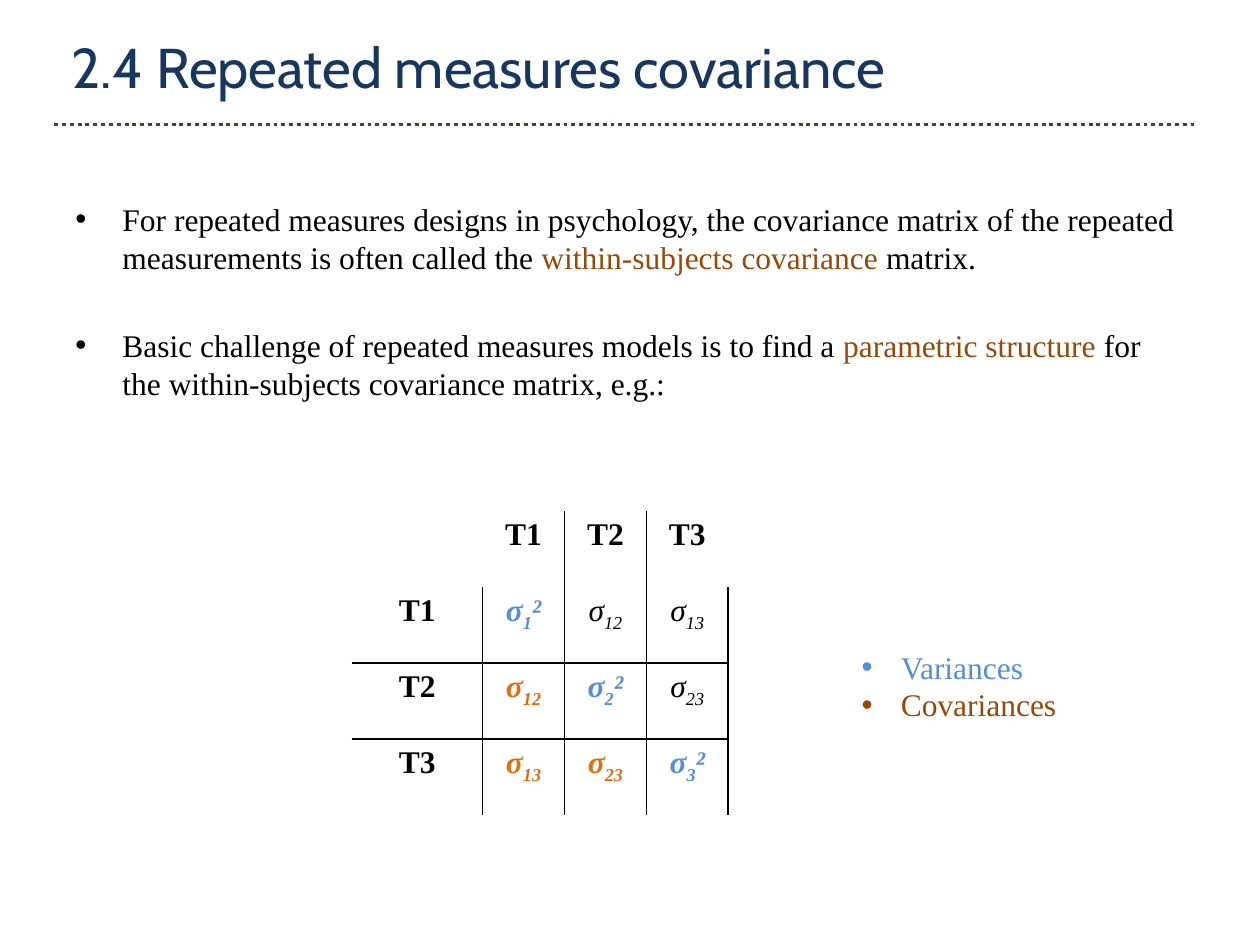
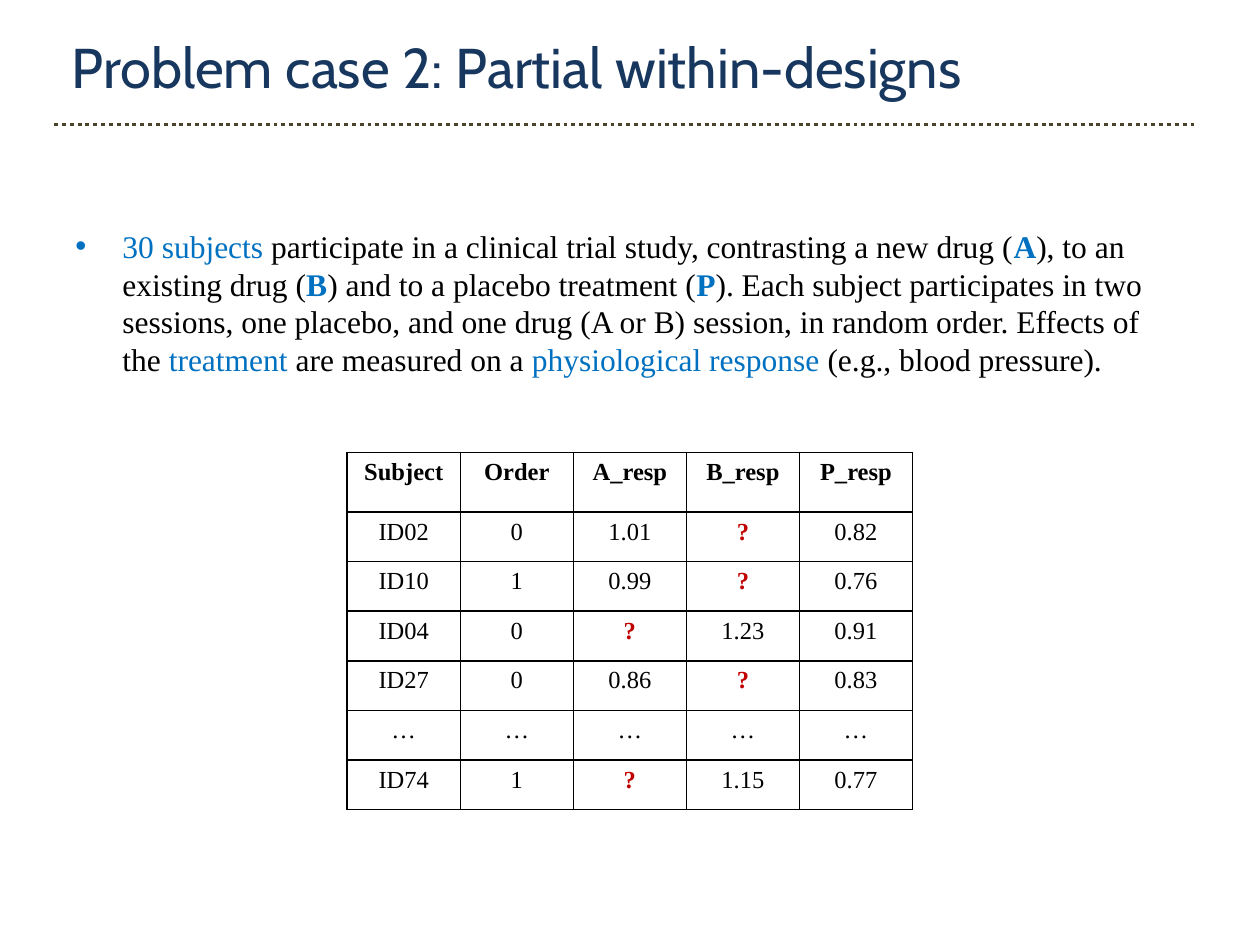
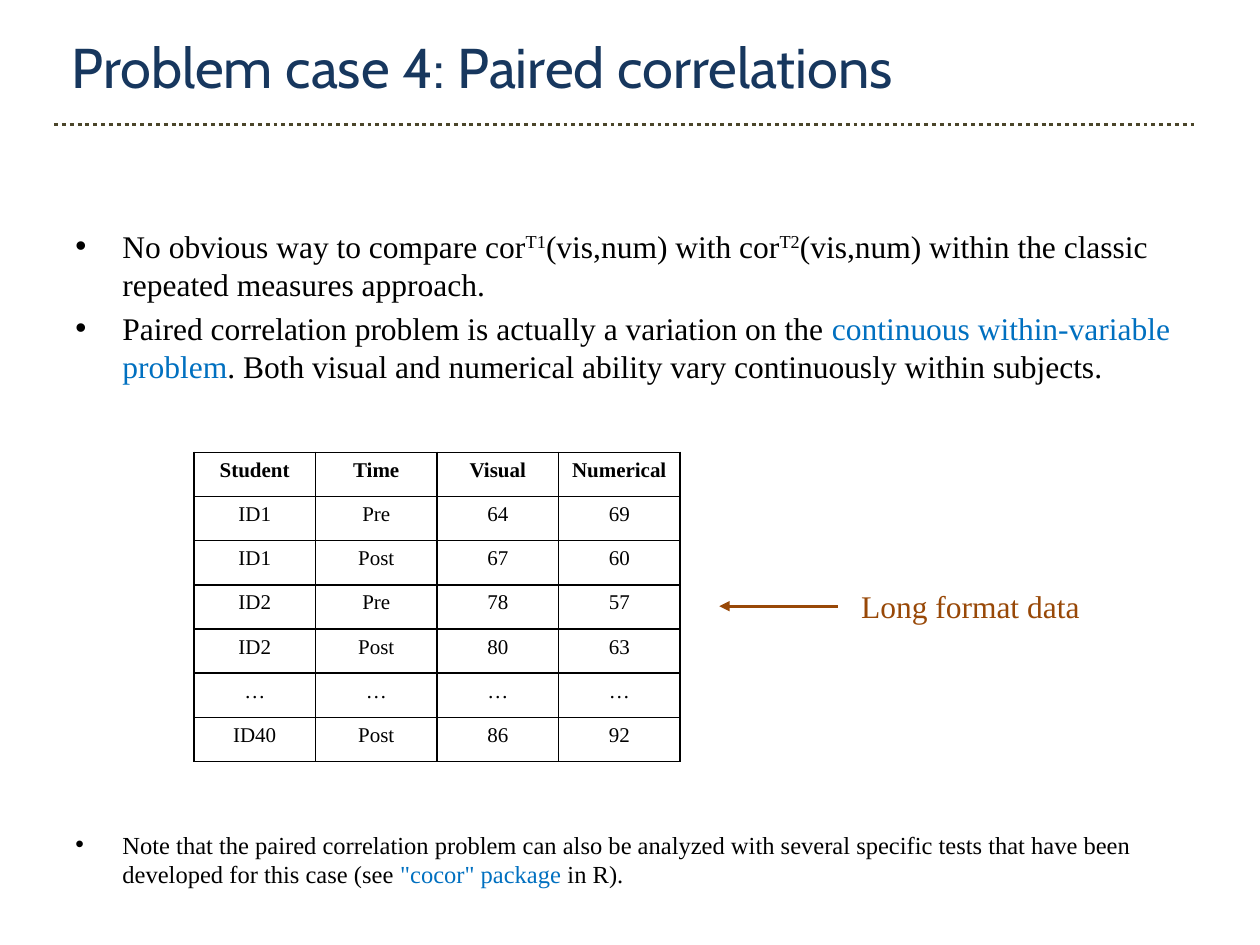
from lxml.etree import SubElement
from pptx import Presentation
from pptx.dml.color import RGBColor
from pptx.enum.dml import MSO_LINE
from pptx.enum.shapes import MSO_CONNECTOR
from pptx.enum.text import MSO_ANCHOR, MSO_AUTO_SIZE, PP_ALIGN
from pptx.oxml.ns import qn
from pptx.util import Cm, Pt

BLACK, NAVY, OLIVE, BROWN = "000000", "17375E", "4A452A", "984807"
BLUE, SKY, ORANGE, RED = "0070C0", "558ED5", "E46C0A", "C00000"
SERIF, HEADING = "Times New Roman", "Cabin"
TITLE_BOX = (1.19, 0.53, 22.7, 1.6)
RULE_LEFT, RULE_RIGHT, RULE_TOP = 1.09, 24.1, 2.51
BODY_LEFT, BODY_WIDTH, BODY_INDENT = 1.27, 22.86, 0.95
GRID_LINE = 0.96
ALL_SIDES = "LRTB"


def rgb(code):
    return RGBColor.from_string(code)


def set_all(target, values):
    for name, value in values.items():
        setattr(target, name, value)


def place(shape, box):
    set_all(shape, dict(zip(("left", "top", "width", "height"), map(Cm, box))))


def write_runs(paragraph, runs, size, font=SERIF):
    for text, look in runs:
        run = paragraph.add_run()
        run.text = text
        set_all(run.font, {"name": font, "size": Pt(size),
                           "bold": look.get("bold", False),
                           "italic": look.get("italic", False)})
        run.font.color.rgb = rgb(look.get("color", BLACK))
        if "baseline" in look:
            run.font._element.set("baseline", str(look["baseline"] * 1000))


def add_bullet(paragraph, color, indent):
    properties = paragraph._p.get_or_add_pPr()
    properties.set("marL", str(Cm(indent)))
    properties.set("indent", str(-Cm(indent)))
    bullet_color = SubElement(properties, qn("a:buClr"))
    SubElement(bullet_color, qn("a:srgbClr"), val=color)
    SubElement(properties, qn("a:buFont"), typeface="Arial")
    SubElement(properties, qn("a:buChar"), char="•")


def add_text(slide, box, paragraphs, size=18, indent=BODY_INDENT, gap=0, wrap=True, bullets=True):
    text_box = slide.shapes.add_textbox(*map(Cm, box))
    frame = text_box.text_frame
    set_all(frame, {"word_wrap": wrap, "auto_size": MSO_AUTO_SIZE.NONE})
    for index, runs in enumerate(paragraphs):
        paragraph = frame.add_paragraph() if index else frame.paragraphs[0]
        if index and gap:
            paragraph.space_before = Pt(gap)
        if bullets:
            add_bullet(paragraph, runs[0][1].get("color", BLACK), indent)
        write_runs(paragraph, runs, size)


def add_body(slide, top, height, paragraphs, **options):
    add_text(slide, (BODY_LEFT, top, BODY_WIDTH, height), paragraphs, **options)


def add_line(slide, start, end, color, width):
    line = slide.shapes.add_connector(MSO_CONNECTOR.STRAIGHT, *map(Cm, start + end))
    line.line.color.rgb = rgb(color)
    line.line.width = Pt(width)
    SubElement(line._element.spPr, qn("a:effectLst"))
    return line


def add_titled_slide(deck, title):
    slide = deck.slides.add_slide(deck.slide_layouts[5])
    heading = slide.shapes.title
    place(heading, TITLE_BOX)
    set_all(heading.text_frame, {"vertical_anchor": MSO_ANCHOR.TOP, "word_wrap": True,
                                 "auto_size": MSO_AUTO_SIZE.NONE})
    paragraph = heading.text_frame.paragraphs[0]
    paragraph.alignment = PP_ALIGN.LEFT
    write_runs(paragraph, [(title, {"color": NAVY})], 32, HEADING)
    rule = add_line(slide, (RULE_LEFT, RULE_TOP), (RULE_RIGHT, RULE_TOP), OLIVE, 2.25)
    rule.line.dash_style = MSO_LINE.ROUND_DOT
    return slide


def set_borders(cell, sides):
    properties = cell._tc.get_or_add_tcPr()
    for side in ALL_SIDES:
        edge = SubElement(properties, qn(f"a:ln{side}"), w=str(Pt(GRID_LINE)))
        if side in sides:
            fill = SubElement(edge, qn("a:solidFill"))
            SubElement(fill, qn("a:srgbClr"), val=BLACK)
        else:
            SubElement(edge, qn("a:noFill"))


def add_grid(slide, left, top, widths, heights, rows, size, sides_at):
    box = (left, top, sum(widths), sum(heights))
    table = slide.shapes.add_table(len(heights), len(widths), *map(Cm, box)).table
    set_all(table, {"first_row": False, "horz_banding": False})
    for column, width in zip(table.columns, widths):
        column.width = Cm(width)
    for row, height in zip(table.rows, heights):
        row.height = Cm(height)
    for r, values in enumerate(rows):
        for c, runs in enumerate(values):
            cell = table.cell(r, c)
            set_borders(cell, sides_at(r, c))
            cell.fill.background()
            paragraph = cell.text_frame.paragraphs[0]
            paragraph.alignment = PP_ALIGN.CENTER
            write_runs(paragraph, runs, size)


def add_data_table(slide, left, top, column_width, heights, lines, size):
    header, *records = [line.split() for line in lines]
    missing = {"bold": True, "color": RED}
    rows = [[[(name, {"bold": True})] for name in header]]
    rows += [[[(value, missing if value == "?" else {})] for value in record]
             for record in records]
    add_grid(slide, left, top, [column_width] * len(header), heights, rows, size,
             lambda r, c: ALL_SIDES)


def sigma(row, column):
    look = {"italic": True, "bold": row >= column}
    if row == column:
        look["color"] = SKY
    elif row > column:
        look["color"] = ORANGE
    low, high = sorted((row, column))
    index = str(row) if row == column else f"{low}{high}"
    runs = [("σ", look), (index, {**look, "baseline": -25})]
    return runs + [("²", look)] if row == column else runs


def matrix_sides(r, c):
    sides = ""
    if c > 1 or (r and c):
        sides += "L"
    if c in (1, 2) or (r and c in (0, 3)):
        sides += "R"
    if r > 1:
        sides += "T"
    if r in (1, 2):
        sides += "B"
    return sides if (r, c) != (0, 1) else "R"


def add_covariance_matrix(slide, left, top):
    times = range(1, 4)
    labels = [[(f"T{time}", {"bold": True})] for time in times]
    rows = [[[]] + labels]
    rows += [[labels[r - 1]] + [sigma(r, c) for c in times] for r in times]
    add_grid(slide, left, top, [2.64] + [1.65] * 3, [1.53] * 4, rows, 18, matrix_sides)


def build_covariance_slide(deck):
    slide = add_titled_slide(deck, "2.4 Repeated measures covariance")
    add_body(slide, 3.91, 6.4, [
        [("For repeated measures designs in psychology, the covariance matrix of the "
          "repeated measurements is often called the ", {}),
         ("within-subjects covariance", {"color": BROWN}), (" matrix.", {})],
        [("Basic challenge of repeated measures models is to find a ", {}),
         ("parametric structure", {"color": BROWN}),
         (" for the within-subjects covariance matrix, e.g.:", {})],
    ], gap=28.8)
    add_covariance_matrix(slide, 7.09, 10.31)
    add_text(slide, (17.12, 12.93, 4.45, 1.78), [
        [("Variances", {"color": SKY})],
        [("Covariances", {"color": BROWN})],
    ], indent=0.79, wrap=False)


def build_partial_slide(deck):
    slide = add_titled_slide(deck, "Problem case 2: Partial within-designs")
    accent, drug = {"color": BLUE}, {"color": BLUE, "bold": True}
    add_body(slide, 4.45, 4.6, [[
        ("30 subjects ", accent),
        ("participate in a clinical trial study, contrasting a new drug (", {}),
        ("A", drug), ("), to an existing drug (", {}),
        ("B", drug), (") and to a placebo treatment (", {}),
        ("P", drug),
        ("). Each subject participates in two sessions, one placebo, and one drug "
         "(A or B) session, in random order. Effects of the ", {}),
        ("treatment", accent), (" are measured on a ", {}),
        ("physiological response ", accent), ("(e.g., blood pressure).", {}),
    ]])
    add_data_table(slide, 7.0, 9.12, 2.28, [1.2] + [1.0] * 6, [
        "Subject Order A_resp B_resp P_resp",
        "ID02 0 1.01 ? 0.82",
        "ID10 1 0.99 ? 0.76",
        "ID04 0 ? 1.23 0.91",
        "ID27 0 0.86 ? 0.83",
        "… … … … …",
        "ID74 1 ? 1.15 0.77",
    ], 14)


def add_format_label(slide, left, top):
    add_text(slide, (left + 2.61, top, 4.93, 1.02),
             [[("Long format data", {"color": BROWN})]], wrap=False, bullets=False)
    middle = top + 0.51
    arrow = add_line(slide, (left + 2.39, middle), (left, middle), BROWN, 1.5)
    SubElement(arrow.line._get_or_add_ln(), qn("a:tailEnd"), type="triangle")


def build_paired_slide(deck):
    slide = add_titled_slide(deck, "Problem case 4: Paired correlations")
    raised, accent = {"baseline": 30}, {"color": BLUE}
    add_body(slide, 4.45, 4.0, [
        [("No obvious way to compare cor", {}), ("T1", raised),
         ("(vis,num) with cor", {}), ("T2", raised),
         ("(vis,num) within the classic repeated measures approach.", {})],
        [("Paired correlation problem is actually a variation on the ", {}),
         ("continuous within-variable problem", accent),
         (". Both visual and numerical ability vary continuously within subjects.", {})],
    ], gap=3.6)
    add_data_table(slide, 3.91, 9.12, 2.45, [0.89] * 7, [
        "Student Time Visual Numerical",
        "ID1 Pre 64 69",
        "ID1 Post 67 60",
        "ID2 Pre 78 57",
        "ID2 Post 80 63",
        "… … … …",
        "ID40 Post 86 92",
    ], 12)
    add_format_label(slide, 14.5, 11.71)
    add_body(slide, 16.6, 1.7, [[
        ("Note that the paired correlation problem can also be analyzed with several "
         "specific tests that have been developed for this case (see ", {}),
        ('"cocor" package', accent), (" in R).", {}),
    ]], size=14)


def main():
    deck = Presentation()
    set_all(deck, {"slide_width": Cm(25.4), "slide_height": Cm(19.05)})
    build_covariance_slide(deck)
    build_partial_slide(deck)
    build_paired_slide(deck)
    deck.save("out.pptx")


if __name__ == "__main__":
    main()
